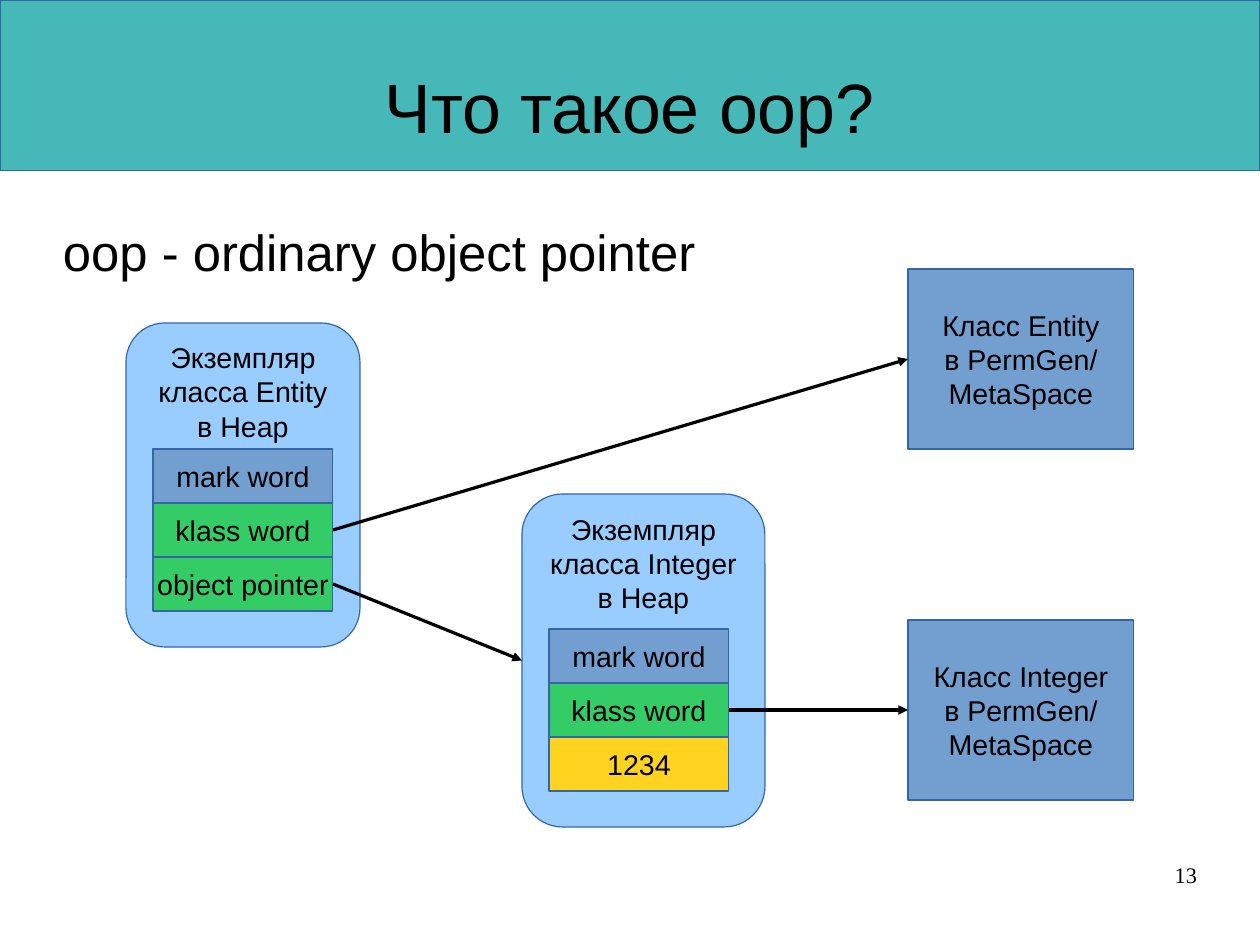
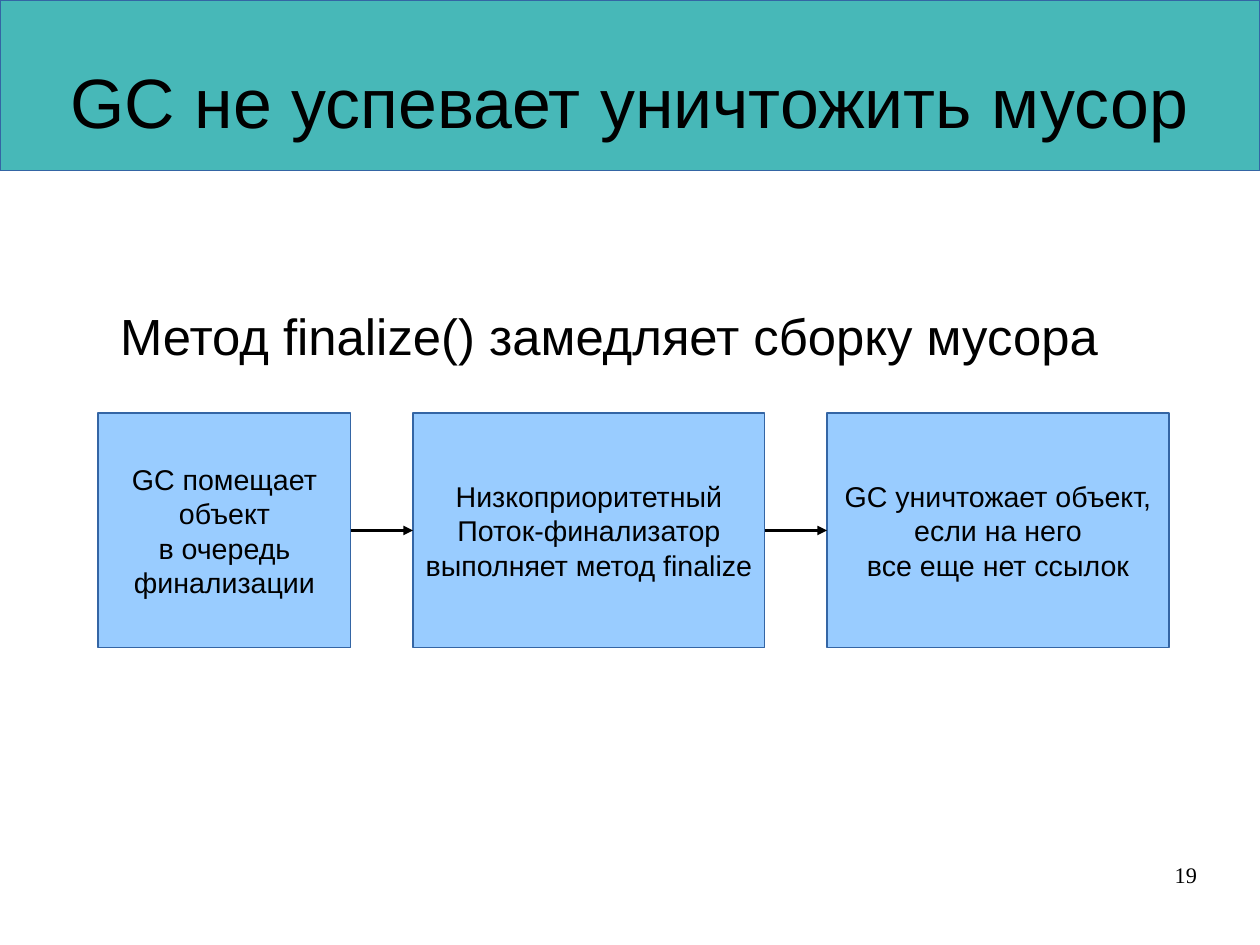
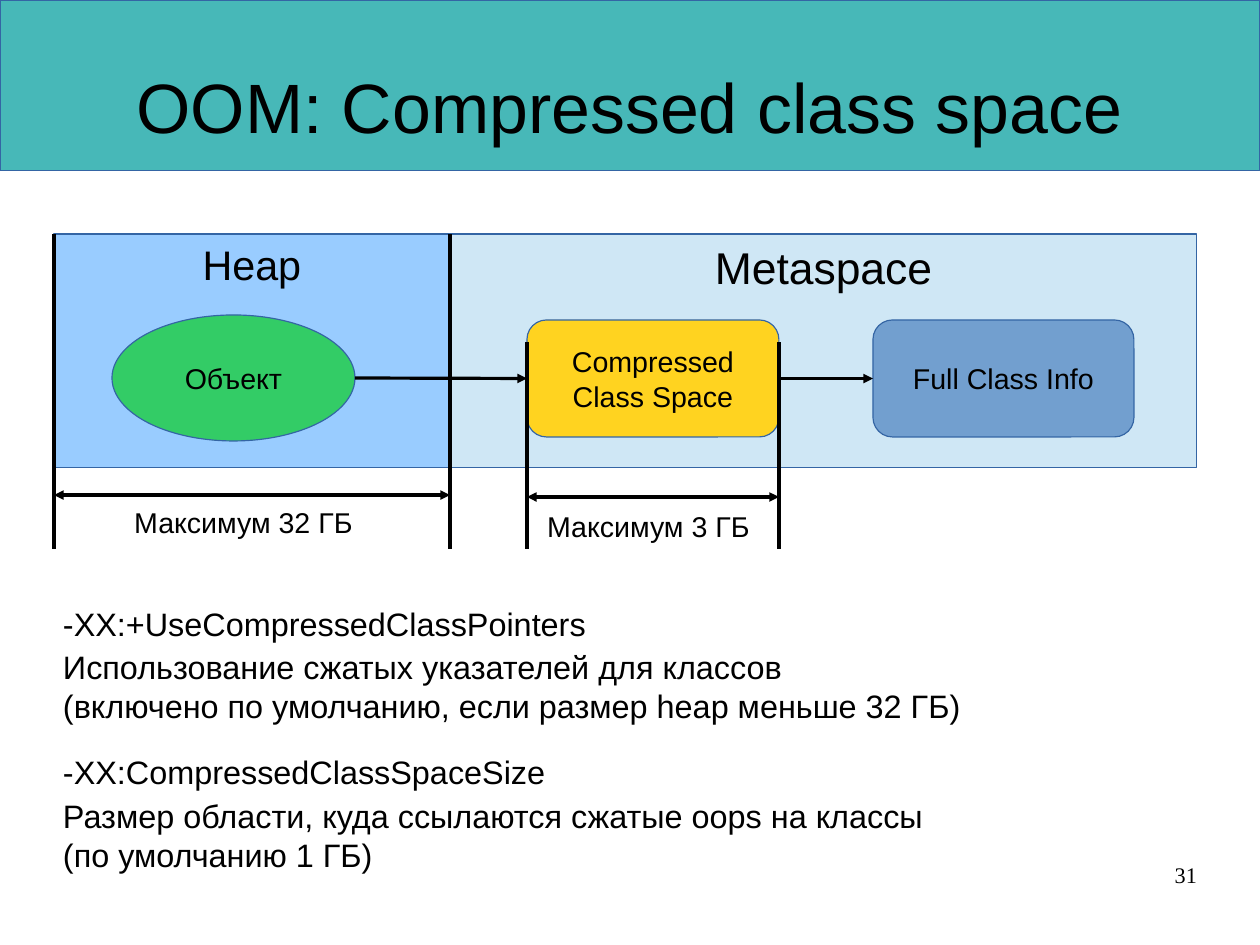
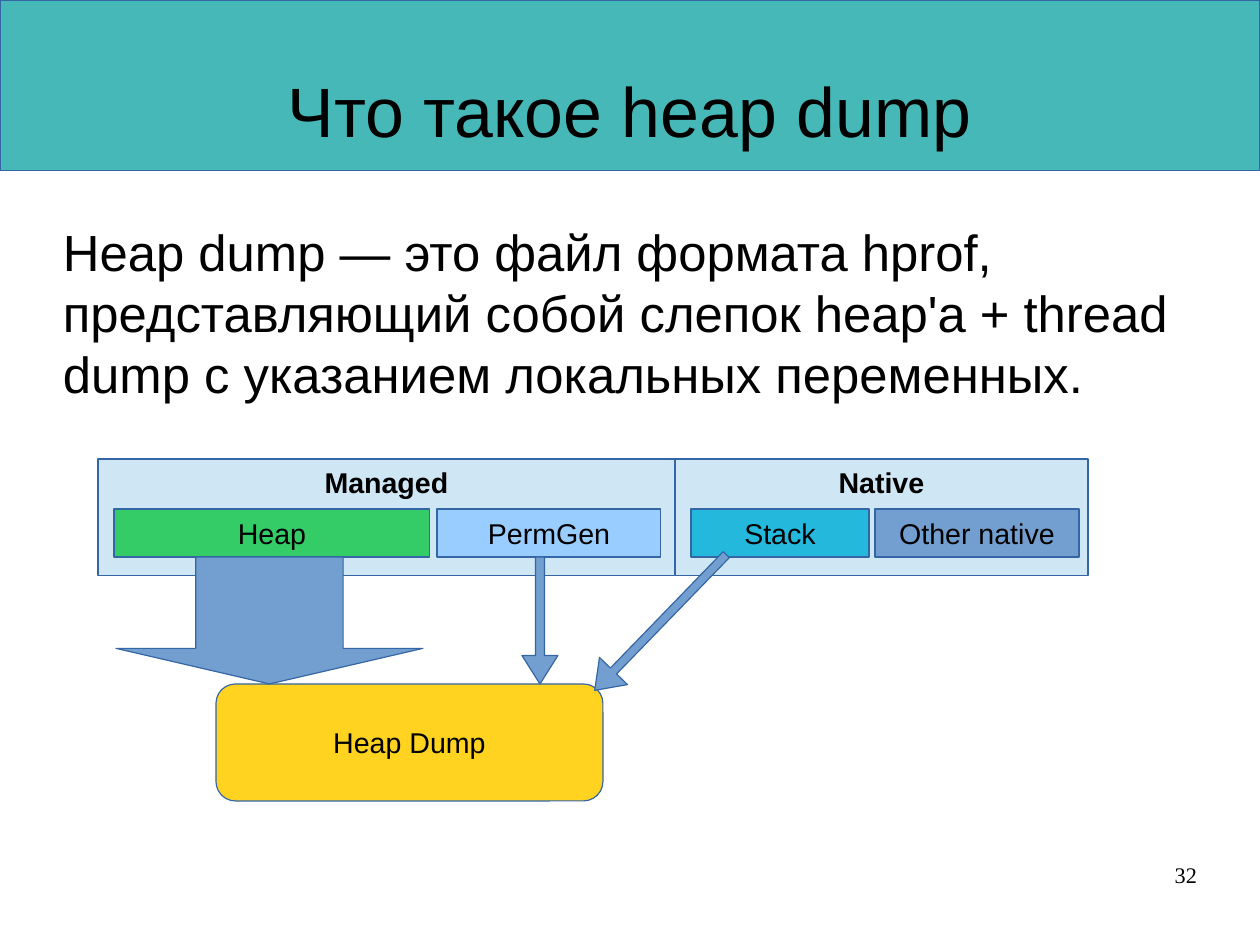
from copy import deepcopy

from lxml import etree
from pptx import Presentation
from pptx import util as u
from pptx.dml.color import RGBColor
from pptx.enum import shapes, text
from pptx.oxml.ns import qn

PX = 8000  # EMU per pixel
SHAPE, ALIGN, ANCHOR = shapes.MSO_SHAPE, text.PP_ALIGN, text.MSO_ANCHOR
color = RGBColor.from_string

BLACK, TEAL, OUTLINE = "000000", "47B8B8", "3465A4"
STEEL, SKY, PALE, CYAN = "729FCF", "99CCFF", "CFE7F5", "23B8DC"
GREEN, YELLOW = "33CC66", "FFD320"


def format_text(frame, size, align=ALIGN.CENTER, anchor=ANCHOR.MIDDLE,
                font="Arial", bold=False, after=0):
    frame.vertical_anchor = anchor
    for paragraph in frame.paragraphs:
        paragraph.alignment = align
        paragraph.space_before, paragraph.space_after = u.Pt(0), u.Pt(after)
        for run in paragraph.runs:
            run.font.name, run.font.size, run.font.bold = font, u.Pt(size), bold
            run.font.color.rgb = color(BLACK)
        # Line breaks take the size of the text around them
        for line_break in paragraph._p.findall(qn("a:br")):
            line_break.append(deepcopy(paragraph.runs[0].font._element))


def add_box(slide, kind, left, top, width, height, fill, label="", size=18,
            anchor=ANCHOR.MIDDLE, bold=False):
    box = slide.shapes.add_shape(kind, left * PX, top * PX, width * PX, height * PX)
    box.shadow.inherit = False
    box.fill.solid()
    box.fill.fore_color.rgb = color(fill)
    box.line.color.rgb = color(OUTLINE)
    box.line.width = 0
    box.text_frame.text = label
    box.text_frame.word_wrap = False
    format_text(box.text_frame, size, anchor=anchor, bold=bold)
    return box


presentation = Presentation()
presentation.slide_width, presentation.slide_height = 1260 * PX, 945 * PX
layout = presentation.slide_layouts[1]

# Titles, body text and page numbers:
# title, title top, number, body text, body left, body top, size, space after
pages = [
    ("Что такое oop?", 27, "13", "oop - ordinary object pointer", 63, 221, 32, 14.2),
    ("GC не успевает уничтожить мусор", 22, "19",
     "Метод finalize() замедляет сборку мусора", 120, 305, 32, 14.2),
    ("OOM: Compressed class space", 27, "31",
     "-XX:+UseCompressedClassPointers\n"
     "Использование сжатых указателей для классов\v"
     "(включено по умолчанию, если размер heap меньше 32 ГБ)\n"
     "-XX:CompressedClassSpaceSize\n"
     "Размер области, куда ссылаются сжатые oops на классы\v"
     "(по умолчанию 1 ГБ)", 63, 604, 20.4, 2.8),
    ("Что такое heap dump", 31, "32",
     "Heap dump — это файл формата hprof, представляющий собой слепок heap'а "
     "+ thread dump с указанием локальных переменных.", 63, 221, 32, 14.2),
]
slides = []
for title_text, title_top, number, body_text, left, top, size, after in pages:
    slide = presentation.slides.add_slide(layout)
    slides.append(slide)
    title, body = slide.placeholders
    page_number = slide.shapes.add_textbox(903 * PX, 861 * PX, 294 * PX, 65 * PX)
    title.left, title.top = 63 * PX, title_top * PX
    title.width, title.height = 1134 * PX, 158 * PX
    body.left, body.top = left * PX, top * PX
    body.width, body.height = (1197 - left) * PX, (880 - top) * PX
    for shape, words in ((title, title_text), (body, body_text), (page_number, number)):
        frame = shape.text_frame
        frame.text = words
        frame.word_wrap = True
        frame.auto_size = text.MSO_AUTO_SIZE.NONE
        frame.margin_left = frame.margin_right = 0
        frame.margin_top = frame.margin_bottom = 0
    format_text(title.text_frame, 44)
    format_text(body.text_frame, size, ALIGN.LEFT, ANCHOR.TOP, after=after)
    format_text(page_number.text_frame, 14, ALIGN.RIGHT, ANCHOR.TOP, "Times New Roman")
    for paragraph in body.text_frame.paragraphs:
        properties = paragraph._p.get_or_add_pPr()
        properties.set("marL", "0")
        properties.set("indent", "0")
        etree.SubElement(properties, qn("a:buNone"))
oop_slide, finalize_slide, class_space_slide, dump_slide = slides

# Title band, shared through the layout
band = add_box(oop_slide, SHAPE.RECTANGLE, 0, 0, 1260, 171, TEAL)
layout.shapes.element.insert(2, band.element)

links = []  # slide, source box, target box
lines = []  # slide, x1, y1, x2, y2, arrowheads

# Slide 1: instances in the heap and their classes
classes = [
    add_box(oop_slide, SHAPE.RECTANGLE, 908, top, 226, 180, STEEL,
            f"Класс {name}\nв PermGen/\nMetaSpace")
    for name, top in (("Entity", 269), ("Integer", 620))
]
instances = [
    ("Entity", 126, 323, 234, 324, 449, ("object pointer", GREEN)),
    ("Integer", 522, 494, 243, 333, 629, ("1234", YELLOW)),
]
cards, fields = [], []
for name, left, top, width, height, first_top, value in instances:
    cards.append(add_box(oop_slide, SHAPE.ROUNDED_RECTANGLE, left, top, width, height, SKY,
                         f"Экземпляр\nкласса {name}\nв Heap", anchor=ANCHOR.TOP))
    words = (("mark word", STEEL), ("klass word", GREEN), value)
    fields.append([
        add_box(oop_slide, SHAPE.RECTANGLE, left + 27, first_top + 54 * row, 180, 54, fill, label)
        for row, (label, fill) in enumerate(words)
    ])
links += [(oop_slide, fields[0][1], classes[0]),
          (oop_slide, fields[0][2], cards[1]),
          (oop_slide, fields[1][1], classes[1])]

# Slide 2: steps of finalization
steps = [
    add_box(finalize_slide, SHAPE.RECTANGLE, left, 413, width, 235, SKY, label)
    for left, width, label in (
        (98, 253, "GC помещает\nобъект\nв очередь\nфинализации"),
        (413, 352, "Низкоприоритетный\nПоток-финализатор\nвыполняет метод finalize"),
        (827, 342, "GC уничтожает объект,\nесли на него\nвсе еще нет ссылок"),
    )
]
links += [(finalize_slide, *pair) for pair in zip(steps, steps[1:])]

# Slide 3: memory areas, their contents and size limits
for left, width, fill, label, size in ((54, 396, SKY, "Heap", 26),
                                       (450, 747, PALE, "Metaspace", 28)):
    add_box(class_space_slide, SHAPE.RECTANGLE, left, 234, width, 234, fill, label, size,
            ANCHOR.TOP)
contents = [
    add_box(class_space_slide, kind, left, top, width, height, fill, label)
    for kind, left, top, width, height, fill, label in (
        (SHAPE.OVAL, 112, 315, 243, 126, GREEN, "Объект"),
        (SHAPE.ROUNDED_RECTANGLE, 527, 320, 252, 117, YELLOW, "Compressed\nClass Space"),
        (SHAPE.ROUNDED_RECTANGLE, 873, 320, 261, 117, STEEL, "Full Class Info"),
    )
]
links += [(class_space_slide, *pair) for pair in zip(contents, contents[1:])]
for left, right, top, arrow_y, label_left, label_top, label_width, label in (
    (54, 450, 234, 495, 104, 486, 279, "Максимум 32 ГБ"),
    (527, 779, 342, 497, 527, 490, 243, "Максимум 3 ГБ"),
):
    for x in (left, right):
        lines.append((class_space_slide, x * PX, top * PX, x * PX, 549 * PX, ()))
    lines.append((class_space_slide, left * PX, arrow_y * PX, right * PX, arrow_y * PX,
                  ("a:headEnd", "a:tailEnd")))
    limit = class_space_slide.shapes.add_textbox(label_left * PX, label_top * PX,
                                                 label_width * PX, 72 * PX)
    limit.text_frame.text = label
    limit.text_frame.word_wrap = True
    format_text(limit.text_frame, 18)

# Slide 4: memory regions that flow into the dump
for left, width, label in ((675, 413, "Native"), (98, 577, "Managed")):
    add_box(dump_slide, SHAPE.RECTANGLE, left, 459, width, 117, PALE, label,
            anchor=ANCHOR.TOP, bold=True)
for left, width, fill, label in (
    (114, 316, GREEN, "Heap"),
    (437, 224, SKY, "PermGen"),
    (691, 178, CYAN, "Stack"),
    (875, 204, STEEL, "Other native"),
):
    add_box(dump_slide, SHAPE.RECTANGLE, left, 509, width, 48, fill, label)
add_box(dump_slide, SHAPE.ROUNDED_RECTANGLE, 216, 684, 387, 117, YELLOW, "Heap Dump")
for left, top, width, height, shaft, head, rotation in (
    (116, 557, 307, 127, 0.48, 0.28, 0),
    (522, 557, 36, 127, 0.25, 0.79, 0),
    (641, 528, 39, 189, 0.22, 0.69, 44.1),
):
    arrow = add_box(dump_slide, SHAPE.DOWN_ARROW, left, top, width, height, STEEL)
    arrow.adjustments[0], arrow.adjustments[1] = shaft, head
    arrow.rotation = rotation

# Connectors: each link runs from the right side to the left side
for slide, source, target in links:
    lines.append((slide, source.left + source.width, source.top + source.height // 2,
                  target.left, target.top + target.height // 2, ("a:tailEnd",)))
for slide, x1, y1, x2, y2, heads in lines:
    connector = slide.shapes.add_connector(shapes.MSO_CONNECTOR.STRAIGHT, x1, y1, x2, y2)
    connector.line.color.rgb = color(BLACK)
    connector.line.width = 0
    properties = connector.element.spPr
    for head in heads:
        etree.SubElement(properties.find(qn("a:ln")), qn(head), type="triangle")
    etree.SubElement(properties, qn("a:effectLst"))

# The second option on slide 3 stands apart from the first
class_space_slide.placeholders[1].text_frame.paragraphs[2].space_before = u.Pt(14.5)

presentation.save("out.pptx")
